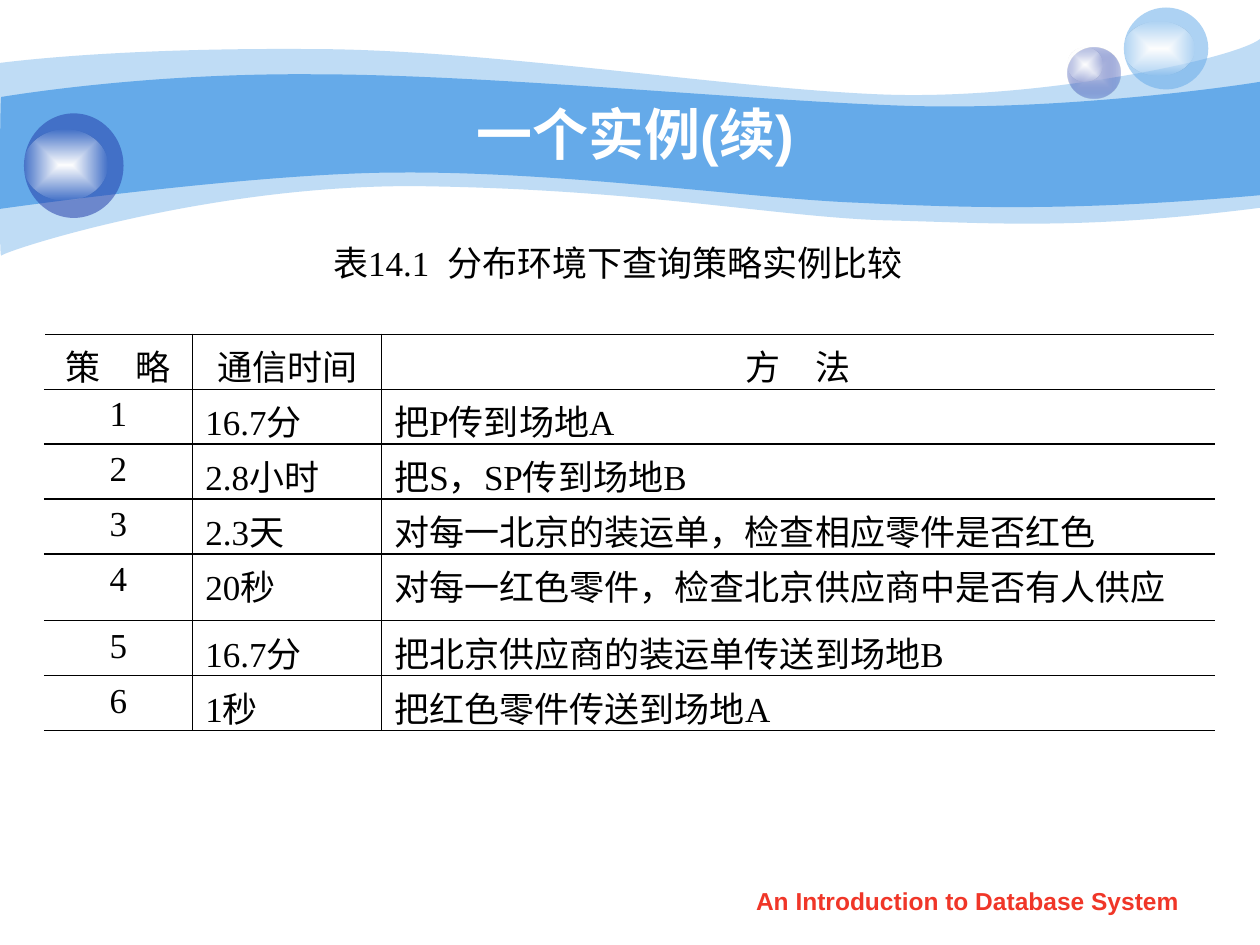
from collections import namedtuple
from lxml import etree
from pptx import Presentation
from pptx.dml.color import RGBColor as RGB
from pptx.enum.shapes import MSO_SHAPE as Shape
from pptx.enum.text import MSO_ANCHOR as Anchor, MSO_AUTO_SIZE as Fit, PP_ALIGN as Align
from pptx.oxml import parse_xml
from pptx.oxml.ns import nsdecls, qn
from pptx.util import Inches, Pt

Theme = namedtuple("Theme", "sky navy pale white glow black red sans serif head text foot")
theme = Theme("65AAE9", "233DA9", "C6CCE8", "FFFFFF", "FEFEFE", "000000", "F03628",
              "Arial", "Times New Roman", 32, 20, 14)


def paint(shape, *stops):
    shape.shadow.inherit = False
    shape.line.fill.background()
    shape.fill.background()
    tints = [f'<a:srgbClr val="{tint}"><a:alpha val="{alpha * 1000}"/></a:srgbClr>'
             for tint, alpha in stops]
    if len(tints) == 1:
        xml = f'<a:solidFill {nsdecls("a")}>{tints[0]}</a:solidFill>'
    else:
        xml = (f'<a:gradFill {nsdecls("a")} rotWithShape="1"><a:gsLst>'
               f'<a:gs pos="0">{tints[0]}</a:gs><a:gs pos="100000">{tints[1]}</a:gs></a:gsLst>'
               '<a:path path="rect"><a:fillToRect l="50000" t="50000" r="50000" b="50000"/>'
               '</a:path></a:gradFill>')
    props = shape.element.spPr
    props.replace(props.find(qn("a:noFill")), parse_xml(xml))


def style(par, face, size, tint, bold=False, align=Align.CENTER):
    par.alignment = align
    par.font.name = face
    par.font.size = Pt(size)
    par.font.bold = bold
    par.font.color.rgb = RGB.from_string(tint)


deck = Presentation()
deck.slide_width, deck.slide_height = Inches(10), Inches(7.5)
slide = deck.slides.add_slide(deck.slide_layouts[5])
shapes = slide.shapes

waves = [
    (41, [(0, 0.5),
          (0.24, 0.47), (1.07, 0.38), (2.47, 0.39),
          (3.86, 0.39), (5.75, 0.7), (6.99, 0.75),
          (8.22, 0.8), (9.8, 0.47), (10, 0.31),
          (10, 1.65),
          (8.58, 1.83), (7.87, 1.77), (7.05, 1.75),
          (6.22, 1.73), (5.15, 1.51), (3.43, 1.48),
          (1.72, 1.44), (0.04, 1.99), (0.01, 2.03),
          (-0.01, 2.08), (0, 0.75), (0, 0.5)]),
    (100, [(0.01, 0.77),
           (0.02, 0.77), (1.1, 0.58), (2.48, 0.59),
           (3.86, 0.59), (5.95, 0.8), (7.18, 0.84),
           (8.41, 0.88), (9.76, 0.69), (10, 0.65),
           (10, 1.55),
           (8.53, 1.68), (7.65, 1.65), (6.82, 1.61),
           (5.99, 1.58), (4.47, 1.36), (3.17, 1.37),
           (2.03, 1.37), (-0.02, 1.66), (-0.01, 1.66),
           (0, 1.66), (0, 0.77), (0.01, 0.77)]),
]
corner = 9
for alpha, points in waves:
    spots = [(Inches(x), Inches(y)) for x, y in points]
    pen = shapes.build_freeform(*spots[0])
    pen.add_line_segments(spots[1:], close=True)
    wave = pen.convert_to_shape()
    paint(wave, (theme.sky, alpha))
    lines = list(wave.element.iter(qn("a:lnTo")))
    del lines[corner]
    for i in range(0, len(lines), 3):
        curve = etree.Element(qn("a:cubicBezTo"))
        lines[i].addprevious(curve)
        for line in lines[i:i + 3]:
            curve.append(line[0])
            line.getparent().remove(line)

shine = [(theme.white, 100), (theme.glow, 0)]
balls = [
    ((8.47, 0.38, 0.42, 0.4), [(theme.pale, 100), (theme.navy, 31)], (8.47, 0.38, 0.28, 0.27)),
    ((8.92, 0.06, 0.67, 0.65), [(theme.sky, 53)], (8.92, 0.17, 0.56, 0.43)),
    ((0.19, 0.9, 0.79, 0.83), [(theme.navy, 53)], (0.19, 1.03, 0.66, 0.56)),
]
for ball, stops, gleam in balls:
    group = shapes.add_group_shape()
    for box, fill in ((ball, stops), (gleam, shine)):
        paint(group.shapes.add_shape(Shape.OVAL, *map(Inches, box)), *fill)

title = shapes.title
shapes.element.append(title.element)
title.left, title.top, title.width, title.height = map(Inches, (1, 0.75, 8.08, 0.62))
title.text = "一个实例(续)"
title.text_frame.vertical_anchor = Anchor.MIDDLE
title.text_frame.auto_size = Fit.NONE
style(title.text_frame.paragraphs[0], theme.sans, theme.head, theme.white, True)

label = shapes.add_textbox(*map(Inches, (2.48, 1.86, 4.85, 0.44))).text_frame
label.word_wrap = False
label.auto_size = Fit.SHAPE_TO_FIT_TEXT
label.vertical_anchor = Anchor.MIDDLE
for text, space in (("表14.1", 0), (" ", 5), ("分布环境下查询策略实例比较", 0)):
    run = label.paragraphs[0].add_run()
    run.text = text
    if space:
        run.font._element.set("spc", str(space * 100))
style(label.paragraphs[0], theme.serif, theme.text, theme.black)

rows = [
    ("策　略", "通信时间", "方　法"),
    ("1", "16.7分", "把P传到场地A"),
    ("2", "2.8小时", "把S，SP传到场地B"),
    ("3", "2.3天", "对每一北京的装运单，检查相应零件是否红色"),
    ("4", "20秒", "对每一红色零件，检查北京供应商中是否有人供应"),
    ("5", "16.7分", "把北京供应商的装运单传送到场地B"),
    ("6", "1秒", "把红色零件传送到场地A"),
]
widths = [1.18, 1.5, 6.61]
last = len(rows) - 1
high, tall = 3.15, 0.53
thin, thick = 0.45, 0.96
table = shapes.add_table(len(rows), len(widths), *map(Inches, (0.35, 2.65, 9.29, high))).table
table.first_row = table.horz_banding = False
for col, width in zip(table.columns, widths):
    col.width = Inches(width)
for r, row in enumerate(rows):
    table.rows[r].height = Inches(tall if r == 4 else (high - tall) / last)
    for c, text in enumerate(row):
        cell = table.cell(r, c)
        cell.text = text
        cell.fill.background()
        style(cell.text_frame.paragraphs[0], theme.serif, theme.text, theme.black,
              align=Align.CENTER if r == 0 or c == 0 else Align.LEFT)
        edges = [
            ("L", theme.white if c == 0 else theme.black, thin),
            ("R", theme.white if c == 2 else theme.black, thin),
            ("T", theme.black, thick if r > 1 else thin),
            ("B", theme.black, thick if 0 < r < last else thin),
        ]
        props = cell._tc.get_or_add_tcPr()
        for place, (side, tint, size) in enumerate(edges):
            line = etree.Element(qn(f"a:ln{side}"), w=str(Pt(size)))
            fill = etree.SubElement(line, qn("a:solidFill"))
            etree.SubElement(fill, qn("a:srgbClr"), val=tint)
            props.insert(place, line)

foot = shapes.add_textbox(*map(Inches, (5.71, 6.98, 3.94, 0.35))).text_frame
foot.word_wrap = True
foot.text = "An Introduction to Database System"
style(foot.paragraphs[0], theme.sans, theme.foot, theme.red, True)

deck.save("out.pptx")
